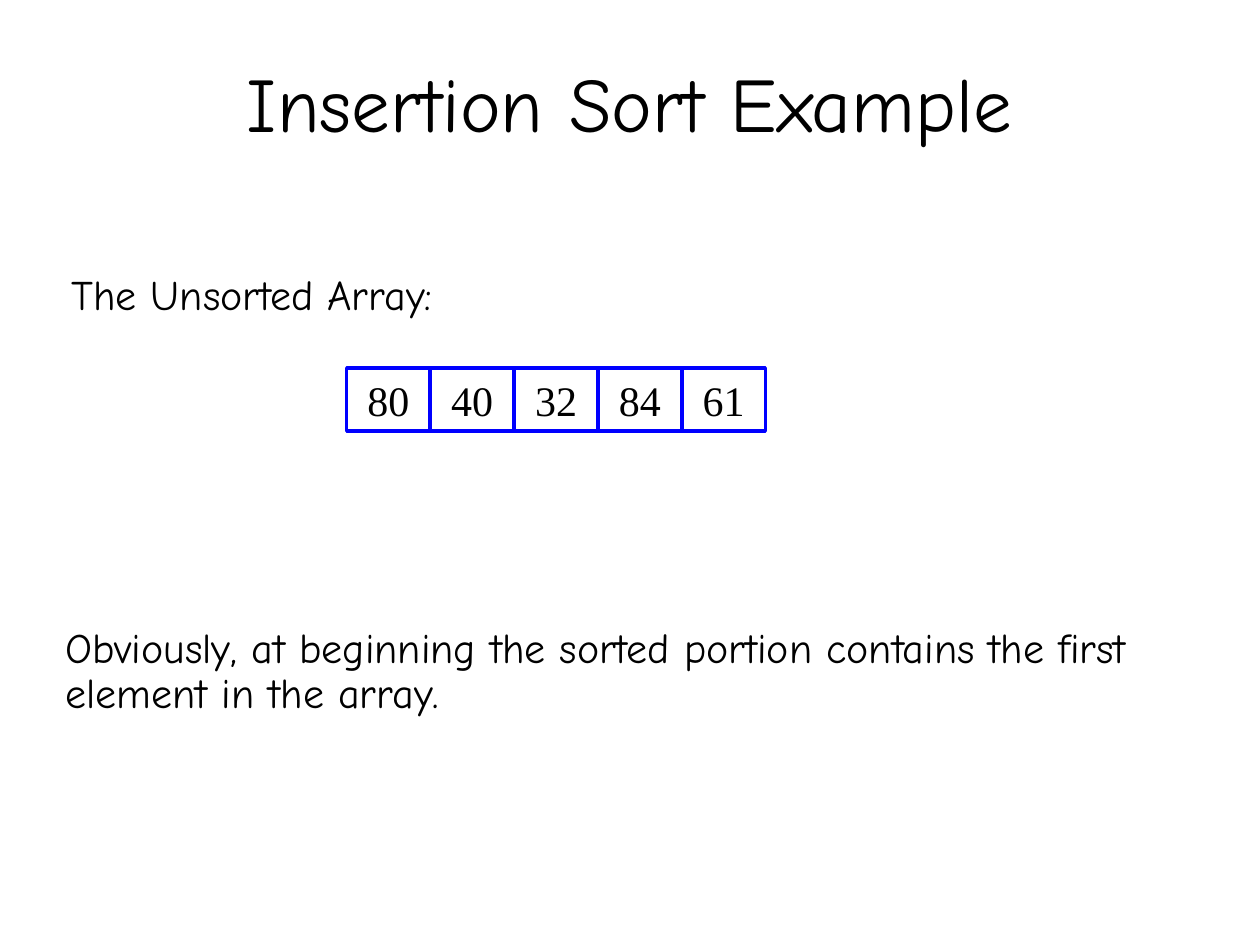
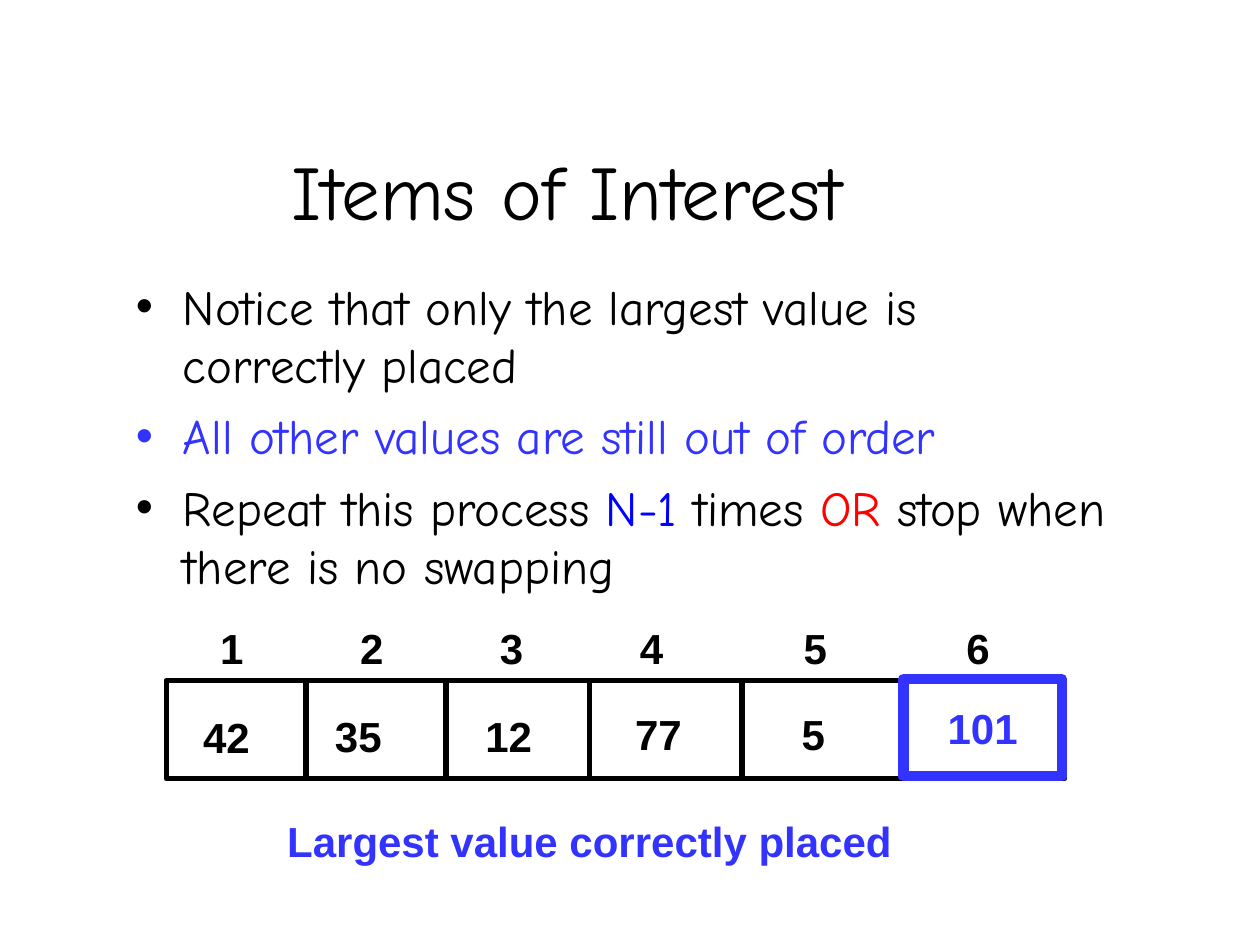
from dataclasses import dataclass
from typing import Any

import lxml.etree
import pptx
import pptx.dml.color
import pptx.enum.shapes
import pptx.enum.text
import pptx.oxml.ns
import pptx.util

Cm = pptx.util.Cm
Pt = pptx.util.Pt
ALIGN = pptx.enum.text.PP_ALIGN
ANCHOR = pptx.enum.text.MSO_ANCHOR
AUTO_SIZE = pptx.enum.text.MSO_AUTO_SIZE

COLORS = {
    "ink": "000000",
    "blue": "0000FF",
    "accent": "3333FF",
    "red": "FF0000",
}
HAND = "Comic Neue"
SERIF = "Times New Roman"
SANS = "Arial"


@dataclass(frozen=True)
class Frame:
    left: float
    top: float
    width: float
    height: float

    def lengths(self) -> tuple:
        return Cm(self.left), Cm(self.top), Cm(self.width), Cm(self.height)


@dataclass(frozen=True)
class Style:
    font: str
    size: float = 24
    color: str = "ink"
    bold: bool = False
    align: Any = ALIGN.LEFT


@dataclass(frozen=True)
class Span:
    text: str
    color: str = "ink"


@dataclass(frozen=True)
class ArrayValue:
    text: str
    left: float
    top: float


TITLE = Style(HAND, 44, align=ALIGN.CENTER)
PROSE = Style(HAND)
LABEL = Style(HAND, align=ALIGN.CENTER)
BULLET = Style(HAND, 28)
CELL = Style(SERIF, align=ALIGN.CENTER)
VALUE = Style(SANS, bold=True, align=ALIGN.CENTER)
INDEX = Style(SANS, bold=True)
LARGEST = Style(SANS, color="accent", bold=True, align=ALIGN.CENTER)
CAPTION = Style(SANS, color="accent", bold=True)

UNSORTED = ["80", "40", "32", "84", "61"]
CELL_PITCH = 1.69
DIVIDERS = [6.17, 8.99, 11.89, 14.96, 18.16]
INDEX_TABS = [2.82, 5.64, 8.46, 11.76, 15.04]
PLACED = [
    ArrayValue("42", 3.84, 14.22),
    ArrayValue("35", 6.5, 14.2),
    ArrayValue("12", 9.53, 14.2),
    ArrayValue("77", 12.55, 14.15),
    ArrayValue("5", 15.67, 14.15),
]
ITEMS = [
    [Span("Notice that only the largest value is correctly placed")],
    [Span("All other values are still out of order", "accent")],
    [
        Span("Repeat this process "),
        Span("N-1", "blue"),
        Span(" times "),
        Span("OR", "red"),
        Span(" stop when there is no swapping"),
    ],
]


def apply(target: Any, values: dict) -> None:
    for name, value in values.items():
        setattr(target, name, value)


def rgb(color: str) -> pptx.dml.color.RGBColor:
    return pptx.dml.color.RGBColor.from_string(COLORS[color])


def add_span(paragraph: Any, text: str, style: Style, color: str) -> None:
    span = paragraph.add_run()
    span.text = text
    apply(span.font, {"name": style.font, "size": Pt(style.size), "bold": style.bold})
    span.font.color.rgb = rgb(color)


def write(shape: Any, text: str, style: Style, **frame_values: Any) -> Any:
    frame = shape.text_frame
    apply(frame, {"word_wrap": True, "auto_size": AUTO_SIZE.NONE} | frame_values)
    paragraph = frame.paragraphs[0]
    paragraph.alignment = style.align
    add_span(paragraph, text, style, style.color)
    return paragraph


def add_page(deck: Any, title: str, frame: Frame, anchor: Any) -> Any:
    page = deck.slides.add_slide(deck.slide_layouts[5])
    placeholder = page.shapes.title
    apply(placeholder, dict(zip(("left", "top", "width", "height"), frame.lengths())))
    write(placeholder, title, TITLE, vertical_anchor=anchor)
    return page


def add_text(page: Any, frame: Frame, text: str, style: Style, wrap: bool = False) -> Any:
    box = page.shapes.add_textbox(*frame.lengths())
    return write(box, text, style, word_wrap=wrap, auto_size=AUTO_SIZE.SHAPE_TO_FIT_TEXT)


def add_outline(page: Any, frame: Frame, color: str, weight: float) -> Any:
    box = page.shapes.add_shape(pptx.enum.shapes.MSO_SHAPE.RECTANGLE, *frame.lengths())
    box.shadow.inherit = False
    box.fill.background()
    box.line.color.rgb = rgb(color)
    box.line.width = Pt(weight)
    return box


def add_divider(page: Any, left: float, top: float, bottom: float) -> None:
    line = page.shapes.add_connector(
        pptx.enum.shapes.MSO_CONNECTOR.STRAIGHT, Cm(left), Cm(top), Cm(left), Cm(bottom)
    )
    line.line.color.rgb = rgb("ink")
    line.line.width = Pt(3)
    lxml.etree.SubElement(line._element.spPr, pptx.oxml.ns.qn("a:effectLst"))


def add_bullet(paragraph: Any, color: str) -> None:
    qn = pptx.oxml.ns.qn
    properties = paragraph._p.get_or_add_pPr()
    apply_indent = {"marL": Cm(0.95), "indent": -Cm(0.95)}
    for name, value in apply_indent.items():
        properties.set(name, str(int(value)))
    tint = lxml.etree.SubElement(properties, qn("a:buClr"))
    lxml.etree.SubElement(tint, qn("a:srgbClr"), val=COLORS[color])
    lxml.etree.SubElement(properties, qn("a:buFont"), typeface=SANS)
    lxml.etree.SubElement(properties, qn("a:buChar"), char="•")


def add_tabs(paragraph: Any, stops: list[float]) -> None:
    qn = pptx.oxml.ns.qn
    tabs = lxml.etree.SubElement(paragraph._p.get_or_add_pPr(), qn("a:tabLst"))
    for stop in stops:
        lxml.etree.SubElement(tabs, qn("a:tab"), pos=str(int(Cm(stop))), algn="l")


def add_bullets(page: Any, frame: Frame, items: list[list[Span]]) -> None:
    box = page.shapes.add_textbox(*frame.lengths())
    box.text_frame.word_wrap = True
    for number, spans in enumerate(items):
        paragraph = box.text_frame.add_paragraph() if number else box.text_frame.paragraphs[0]
        add_bullet(paragraph, spans[0].color)
        if number:
            paragraph.space_before = Pt(7)
        for span in spans:
            add_span(paragraph, span.text, BULLET, span.color)


def build_example(deck: Any) -> None:
    page = add_page(deck, "Insertion Sort Example", Frame(1.9, 0.46, 21.59, 3.18), ANCHOR.MIDDLE)
    add_text(page, Frame(0, 5.28, 10.16, 1.27), "The Unsorted Array:", LABEL, wrap=True)
    for column, number in enumerate(UNSORTED):
        cell = add_outline(page, Frame(6.99 + column * CELL_PITCH, 7.42, 1.68, 1.27), "blue", 2)
        write(cell, number, CELL, vertical_anchor=ANCHOR.TOP,
              auto_size=AUTO_SIZE.SHAPE_TO_FIT_TEXT)
    remark = add_text(
        page,
        Frame(1.07, 12.52, 22.86, 2.08),
        "Obviously, at beginning the sorted portion contains the first element in the array.",
        PROSE,
        wrap=True,
    )
    remark.line_spacing = 0.9


def build_interest(deck: Any) -> None:
    page = add_page(deck, "Items of Interest", Frame(1.9, 0.43, 19.07, 4.45), ANCHOR.BOTTOM)
    add_bullets(page, Frame(2.49, 5.44, 20.19, 9.75), ITEMS)
    add_outline(page, Frame(3.35, 13.72, 18.11, 1.98), "ink", 3)
    for left in DIVIDERS:
        add_divider(page, left, 13.7, 15.7)
    for value in PLACED:
        add_text(page, Frame(value.left, value.top, 1.45, 1.27), value.text, VALUE)
    numbers = "\t".join(str(number) for number in range(1, len(INDEX_TABS) + 2))
    index = add_text(page, Frame(4.19, 12.42, 16.05, 1.27), numbers, INDEX, wrap=True)
    add_tabs(index, INDEX_TABS)
    largest = add_outline(page, Frame(18.21, 13.69, 3.2, 1.96), "accent", 6)
    write(largest, "101", LARGEST, word_wrap=False, vertical_anchor=ANCHOR.MIDDLE)
    add_text(page, Frame(5.54, 16.31, 12.7, 1.27), "Largest value correctly placed", CAPTION)


def main() -> None:
    deck = pptx.Presentation()
    apply(deck, {"slide_width": Cm(25.4), "slide_height": Cm(19.05)})
    build_example(deck)
    build_interest(deck)
    deck.save("out.pptx")


if __name__ == "__main__":
    main()
